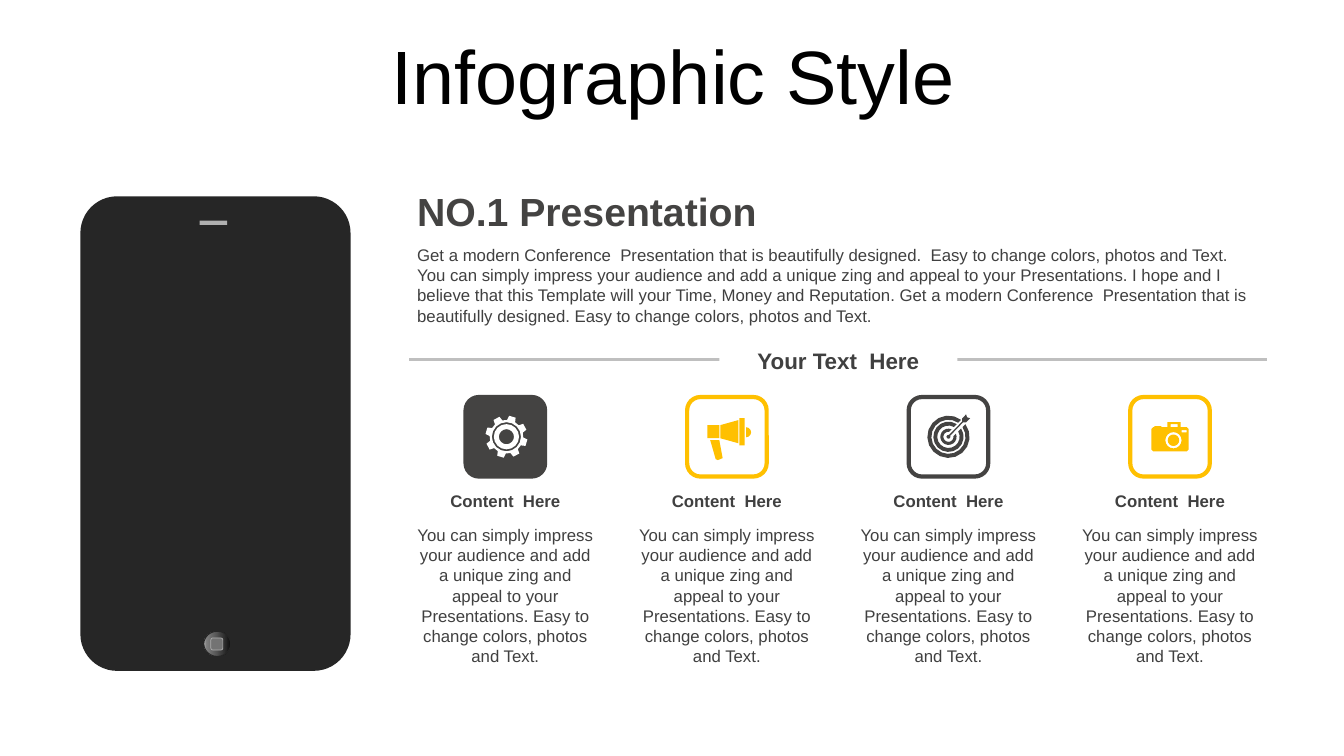
from math import asin, cos, pi, sin

from lxml import etree
from pptx import Presentation
from pptx.dml.color import RGBColor
from pptx.enum import shapes, text
from pptx.oxml.ns import qn
from pptx.util import Pt

COLORS = {
    "white": "FFFFFF", "black": "000000", "ink": "404040", "dark": "444342",
    "accent": "FFC000", "rule": "BFBFBF", "phone": "262626",
    "speaker": "B0B0B0", "button": "737373",
}
BUTTON_STOPS = [(0, "0F0F0F"), (56, "595959"), (91, "808080"), (100, "BFBFBF")]
FONT = "Arial"
INTRO = (
    "Get a modern Conference  Presentation that is beautifully designed.  "
    "Easy to change colors, photos and Text. You can simply impress your "
    "audience and add a unique zing and appeal to your Presentations. I hope "
    "and I believe that this Template will your Time, Money and Reputation. "
    "Get a modern Conference  Presentation that is beautifully designed. "
    "Easy to change colors, photos and Text."
)
DETAIL = (
    "You can simply impress your audience and add a unique zing and appeal to "
    "your Presentations. Easy to change colors, photos and Text."
)


def rgb(name):
    return RGBColor.from_string(COLORS[name])


def write(frame, words, size=12, color="ink", bold=False, align=text.PP_ALIGN.LEFT):
    frame.word_wrap = True
    frame.auto_size = text.MSO_AUTO_SIZE.NONE
    paragraph = frame.paragraphs[0]
    paragraph.text = words
    paragraph.alignment = align
    font = paragraph.font
    font.name, font.size, font.bold = FONT, Pt(size), bold
    font.color.rgb = rgb(color)
    return paragraph


def add_words(slide, box, words, **style):
    label = slide.shapes.add_textbox(*map(Pt, box))
    write(label.text_frame, words, **style)
    return label


def paint(shape, fill, line=None, width=0):
    shape.shadow.inherit = False
    shape.fill.solid()
    shape.fill.fore_color.rgb = rgb(fill)
    if line:
        shape.line.color.rgb = rgb(line)
        shape.line.width = Pt(width)
    else:
        shape.line.fill.background()


def add_block(slide, kind, box, fill, line=None, width=0):
    block = slide.shapes.add_shape(kind, *map(Pt, box))
    paint(block, fill, line, width)
    return block


def arc(radius, start=0, end=2 * pi, x=0, y=0, steps=16):
    angles = [start + (end - start) * i / steps for i in range(steps + 1)]
    return [(x + radius * cos(a), y + radius * sin(a)) for a in angles]


def rect(left, top, right, bottom):
    return [(left, top), (right, top), (right, bottom), (left, bottom)]


def gear():
    x = 0.8
    teeth = []
    for tooth in range(8):
        middle = tooth * pi / 4 + 0.29
        for radius, turn in ((12, -0.25), (15.1, -0.16), (15.1, 0.16), (12, 0.25)):
            teeth.append((x + radius * cos(middle + turn), radius * sin(middle + turn)))
    return [teeth] + [arc(radius, x=x) for radius in (10.4, 9, 5.4)]


def megaphone():
    handle = [(-5.4, 2.5), (-3, 15.3), (-6.5, 16.7), (-8, 16), (-11.9, 2.5)]
    horn = [(8.3, -11.9), (8.3, 4.7), (-4.7, 1.1), (-4.7, -8.3)]
    knob = arc(3.6, -pi / 2, pi / 2, 13.7, -3.2, steps=6)
    return [handle, rect(-14, -8.3, -5.4, 1.1), horn,
            rect(9, -13.3, 12.6, 6.1), knob]


def target():
    """Rings left open towards the upper right, where the dart comes in."""
    gap, aim = 2.2, -pi / 4
    rings = []
    for outer, inner in ((15.1, 12.2), (10.8, 8), (5.8, 3.6)):
        wide, narrow = asin(gap / inner), asin(gap / outer)
        rings.append(arc(outer, aim + narrow, aim + 2 * pi - narrow)
                     + arc(inner, aim + 2 * pi - wide, aim + wide))
    dart = [(0.4, -1.3), (9.7, -10.8), (9.7, -13), (12.6, -16), (13.3, -13.9),
            (15.5, -13.2), (12.6, -10.3), (10.4, -10.3), (1.2, -0.7)]
    return rings + [arc(1.4, 0, pi * 1.5, steps=6) + dart]


def camera():
    case = [(-13.3, -5.5), (-12, -6.8), (-11.2, -6.8), (-11.2, -7.6),
            (-6.1, -7.6), (-6.1, -6.8), (-1.8, -6.8), (-1.8, -10.4),
            (7.6, -10.4), (7.6, -6.8), (12, -6.8), (13.3, -5.5),
            (13.3, 9.1), (12, 10.4), (-12, 10.4), (-13.3, 9.1)]
    return [case, rect(0.4, -9, 5.4, -6.8), rect(8.3, -4.7, 11.9, -3.2),
            arc(5.8, x=2.5, y=2.5), arc(4.1, x=2.5, y=2.5)]


def add_icon(slide, x, y, outlines, color):
    """Draw all outlines, given around (x, y), as one shape with holes."""
    placed = [[(Pt(x + dx), Pt(y + dy)) for dx, dy in line] for line in outlines]
    builder = slide.shapes.build_freeform(*placed[0][0])
    for number, points in enumerate(placed):
        if number:
            builder.move_to(*points[0])
        builder.add_line_segments(points[1:], close=True)
    paint(builder.convert_to_shape(), color)


def add_title(slide, left, top, width, height):
    title = slide.shapes.title
    title.left, title.top, title.width, title.height = map(
        Pt, (left, top, width, height))
    frame = title.text_frame
    frame.vertical_anchor = text.MSO_ANCHOR.MIDDLE
    frame.margin_top = Pt(7.2)
    heading = write(frame, "Infographic Style", size=54, color="black",
                    align=text.PP_ALIGN.CENTER)
    heading.line_spacing = 0.9


def add_phone(slide, left, top, width, height):
    kinds = shapes.MSO_SHAPE
    case = add_block(slide, kinds.ROUNDED_RECTANGLE, (left, top, width, height), "phone")
    case.adjustments[0] = 0.136
    add_block(slide, kinds.RECTANGLE, (left + 85.2, top + 17.5, 19.6, 3), "speaker")
    home = add_block(slide, kinds.OVAL, (left + 88.2, top + 310.7, 19.2, 18),
                     "phone", "phone")
    home.fill.gradient()
    home.fill.gradient_angle = 180
    stops = home._element.spPr.find(qn("a:gradFill")).find(qn("a:gsLst"))
    for stop in list(stops):
        stops.remove(stop)
    for percent, color in BUTTON_STOPS:
        stop = etree.SubElement(stops, qn("a:gs"), pos=str(percent * 1000))
        etree.SubElement(stop, qn("a:srgbClr"), val=color)
    add_block(slide, kinds.ROUNDED_RECTANGLE, (left + 93.2, top + 315.5, 8.6, 8.6),
              "button", "speaker", 0.5)


def add_intro(slide, left, top, width):
    add_words(slide, (left, top, width, 41), "NO.1 Presentation",
              size=28, color="dark", bold=True)
    add_words(slide, (left, top + 41, width, 65.5), INTRO)


def add_divider(slide, left, top, width, height):
    middle = top + height / 2
    rule = slide.shapes.add_connector(
        shapes.MSO_CONNECTOR.STRAIGHT,
        *map(Pt, (left, middle, left + width, middle)))
    rule.line.color.rgb = rgb("rule")
    rule.line.width = Pt(2)
    etree.SubElement(rule._element.spPr, qn("a:effectLst"))
    label = add_words(slide, (left + 221.5, top + 0.5, 170, height), "Your Text  Here",
                      size=16, bold=True, align=text.PP_ALIGN.CENTER)
    label.fill.solid()
    label.fill.fore_color.rgb = rgb("white")


def add_feature(slide, left, top, width, outlines, frame, fill, icon):
    side = 56.8
    center = left + width / 2
    add_block(slide, shapes.MSO_SHAPE.ROUNDED_RECTANGLE,
              (center - side / 2, top, side, side), fill, frame, 3)
    add_icon(slide, center, top + side / 2, outlines, icon)
    centered = text.PP_ALIGN.CENTER
    add_words(slide, (left, top + 63.2, width, 21.8), "Content  Here",
              bold=True, align=centered)
    add_words(slide, (left, top + 87.7, width, 109), DETAIL, align=centered)


def main():
    deck = Presentation()
    deck.slide_width, deck.slide_height = Pt(960), Pt(540)
    slide = deck.slides.add_slide(deck.slide_layouts[5])
    add_title(slide, 25.2, 26.6, 911.5, 56.9)
    add_phone(slide, 57.4, 140.2, 193, 339)
    add_intro(slide, 290.9, 130.3, 616.3)
    add_divider(slide, 292.3, 243.6, 612.7, 26.6)
    features = [
        (gear(), "dark", "dark", "white"),
        (megaphone(), "accent", "white", "accent"),
        (target(), "dark", "white", "dark"),
        (camera(), "accent", "white", "accent"),
    ]
    for column, feature in enumerate(features):
        add_feature(slide, 290.3 + 158.25 * column, 283.6, 141.4, *feature)
    deck.save("out.pptx")


if __name__ == "__main__":
    main()
